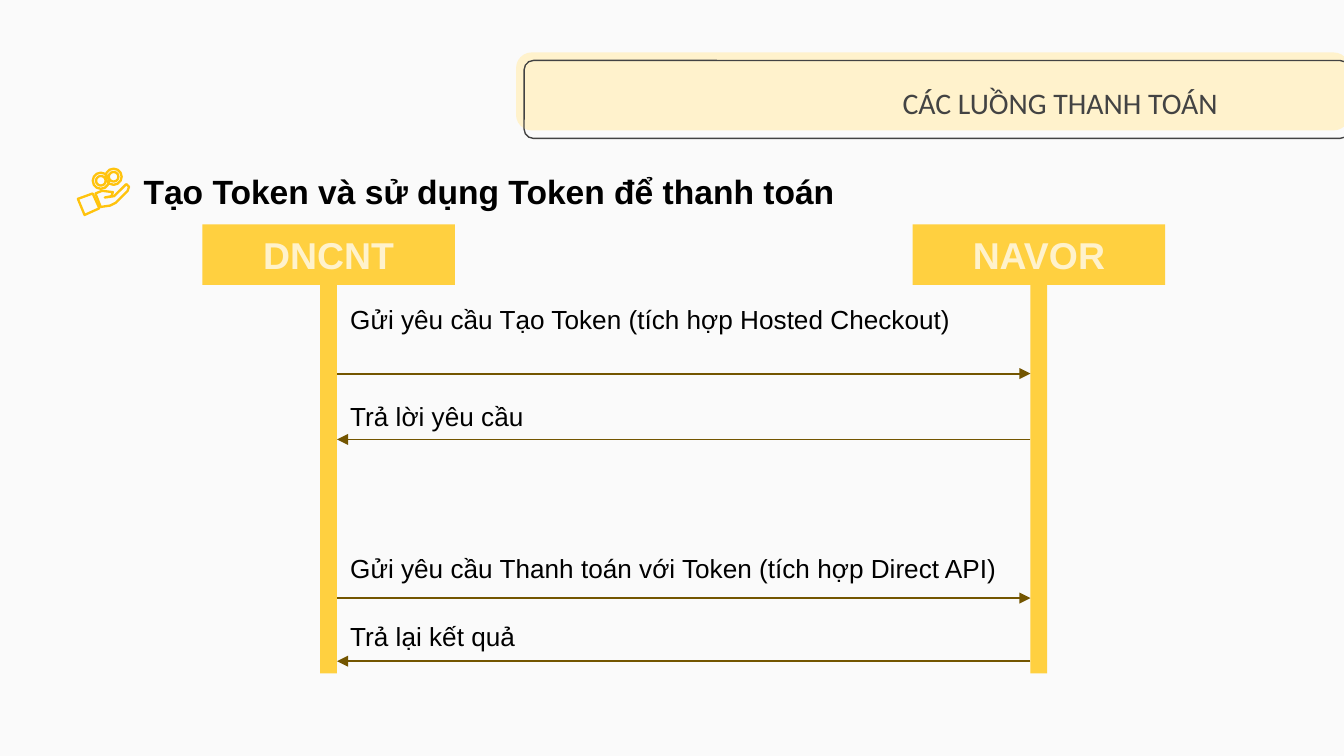
from typing import NamedTuple

from pptx import Presentation
from pptx import util as u
from pptx.dml.color import RGBColor
from pptx.enum import shapes as sh, text as tx
from pptx.oxml.ns import qn
from lxml import etree

CELL = 0.1  # grid cell in inches: 100 columns by 56.2 rows
GOLD, CREAM, BROWN = "FFD040", "FFF2CC", "735500"
EDGE, GREY, BLACK = "FFC30D", "434343", "000000"
HEAD, FOOT = 21.2, 50.1  # rows where the lifelines start and end
BAR = 1.25  # lifeline width


class Actor(NamedTuple):
    name: str
    mid: float


class Call(NamedTuple):
    label: str
    top: float
    row: float
    back: bool


ACTORS = [Actor("DNCNT", 24.45), Actor("NAVOR", 77.3)]
CALLS = [
    Call("Gửi yêu cầu Tạo Token (tích hợp Hosted Checkout)", 22.1, 27.8, False),
    Call("Trả lời yêu cầu", 29.3, 32.7, True),
    Call("Gửi yêu cầu Thanh toán với Token (tích hợp Direct API)", 40.6, 44.5, False),
    Call("Trả lại kết quả", 45.7, 49.2, True),
]
CUFF = [(5.8, 14.8), (6.9, 14.4), (7.4, 15.5), (6.3, 16)]
HAND = [(7.1, 14.4), (7.6, 14.2), (8.4, 14.3), (8.3, 14.6), (7.8, 14.7),
        (8.5, 14.6), (9.4, 13.7), (9.6, 13.9), (9.5, 14.2), (8.6, 15.1),
        (8.2, 15.3), (7.5, 15.4)]
COINS = [(7.5, 13.45, 0.6), (8.45, 13.15, 0.6)]


def cell(n: float) -> u.Emu:
    return u.Inches(n * CELL)


def tint(code: str) -> RGBColor:
    return RGBColor.from_string(code)


def paint(part, fill: str = "", line: str = "", width: float = 0.75) -> None:
    part.shadow.inherit = False
    if fill:
        part.fill.solid()
        part.fill.fore_color.rgb = tint(fill)
    else:
        part.fill.background()
    if line:
        part.line.color.rgb = tint(line)
        part.line.width = u.Pt(width)
    else:
        part.line.fill.background()


def block(slide, kind, x: float, y: float, w: float, h: float, **look):
    part = slide.shapes.add_shape(kind, *map(cell, (x, y, w, h)))
    paint(part, **look)
    return part


def write(part, words: str, hue: str, align=tx.PP_ALIGN.LEFT, **form) -> None:
    para = part.text_frame.paragraphs[0]
    para.alignment = align
    run = para.add_run()
    run.text = words
    run.font.color.rgb = tint(hue)
    for key, val in ({"name": "Arial"} | form).items():
        setattr(run.font, key, val)


def label(slide, x: float, y: float, w: float, h: float, wrap: bool = True):
    box = slide.shapes.add_textbox(*map(cell, (x, y, w, h)))
    box.text_frame.word_wrap = wrap
    return box


def outline(slide, pts: list[tuple[float, float]]) -> None:
    grid = [(cell(x), cell(y)) for x, y in pts]
    pen = slide.shapes.build_freeform(*grid[0])
    pen.add_line_segments(grid[1:], close=True)
    paint(pen.convert_to_shape(), line=EDGE, width=1.25)


def arrow(slide, start: float, end: float, row: float) -> None:
    link = slide.shapes.add_connector(
        sh.MSO_CONNECTOR.STRAIGHT, *map(cell, (start, row, end, row)))
    link.line.color.rgb = tint(BROWN)
    link.line.width = u.Pt(1)
    etree.SubElement(link.line._get_or_add_ln(), qn("a:tailEnd"), type="triangle")
    etree.SubElement(link._element.spPr, qn("a:effectLst"))


def banner(slide) -> None:
    kind = sh.MSO_SHAPE.ROUNDED_RECTANGLE
    back = block(slide, kind, 38.4, 3.9, 62, 5.8, fill=CREAM)
    back.adjustments[0] = 0.2
    rim = block(slide, kind, 39, 4.5, 61.4, 5.8, line=GREY)
    rim.adjustments[0] = 0.12
    box = label(slide, 46.4, 5, 45.2, 5.3)
    box.text_frame.vertical_anchor = tx.MSO_ANCHOR.MIDDLE
    write(box, "CÁC LUỒNG THANH TOÁN", GREY, tx.PP_ALIGN.RIGHT,
          name="Calibri", size=u.Pt(16))


def icon(slide) -> None:
    for x, y, r in COINS:
        for size in (r, r * 0.6):
            block(slide, sh.MSO_SHAPE.OVAL, x - size, y - size, 2 * size, 2 * size,
                  line=EDGE, width=1.25)
    for pts in (CUFF, HAND):
        outline(slide, pts)


def actor(slide, one: Actor) -> None:
    kind = sh.MSO_SHAPE.RECTANGLE
    top = block(slide, kind, one.mid - 9.4, 16.7, 18.8, HEAD - 16.7, fill=GOLD)
    top.text_frame.vertical_anchor = tx.MSO_ANCHOR.MIDDLE
    write(top, one.name, CREAM, tx.PP_ALIGN.CENTER, size=u.Pt(20), bold=True)
    block(slide, kind, one.mid - BAR / 2, HEAD, BAR, FOOT - HEAD, fill=GOLD)


def call(slide, one: Call) -> None:
    left, right = ACTORS[0].mid + BAR / 2, ACTORS[1].mid - BAR / 2
    ends = (right, left) if one.back else (left, right)
    arrow(slide, *ends, one.row)
    box = label(slide, left, one.top, right - left, 3.4, wrap=False)
    write(box, one.label, BLACK, size=u.Pt(14))


def main() -> None:
    deck = Presentation()
    deck.slide_width, deck.slide_height = cell(100), cell(56.25)
    slide = deck.slides.add_slide(deck.slide_layouts[6])
    slide.background.fill.solid()
    slide.background.fill.fore_color.rgb = tint("FAFAFA")

    # Heading
    banner(slide)
    box = label(slide, 9.7, 12.2, 73.3, 4)
    write(box, "Tạo Token và sử dụng Token để thanh toán", BLACK,
          size=u.Pt(18), bold=True)
    icon(slide)

    # Sequence diagram
    for one in ACTORS:
        actor(slide, one)
    for one in CALLS:
        call(slide, one)
    deck.save("out.pptx")


if __name__ == "__main__":
    main()
